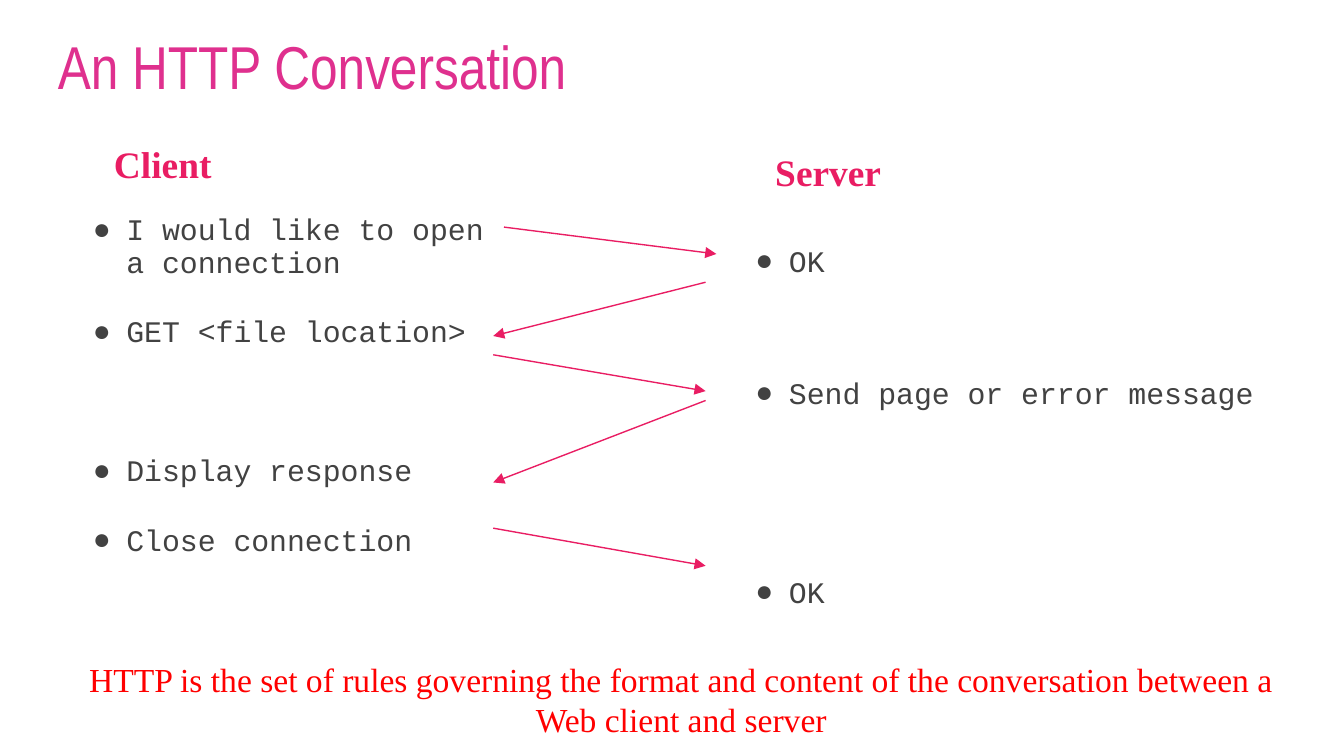
from lxml import etree
from pptx import Presentation
from pptx.dml.color import RGBColor
from pptx.enum.shapes import MSO_CONNECTOR
from pptx.enum.text import MSO_ANCHOR, MSO_AUTO_SIZE, PP_ALIGN
from pptx.oxml.ns import qn
from pptx.util import Inches, Pt

STRAIGHT = MSO_CONNECTOR.STRAIGHT
TOP, MIDDLE = MSO_ANCHOR.TOP, MSO_ANCHOR.MIDDLE
FIXED, GROW = MSO_AUTO_SIZE.NONE, MSO_AUTO_SIZE.SHAPE_TO_FIT_TEXT
LEFT, CENTER = PP_ALIGN.LEFT, PP_ALIGN.CENTER

MAGENTA = RGBColor(0xDF, 0x30, 0x8E)
PINK = RGBColor(0xE9, 0x1D, 0x63)
GRAY = RGBColor(0x42, 0x42, 0x42)
RED = RGBColor(0xFF, 0x00, 0x00)

COLUMNS, ROWS = 100, 56.25
TWO_CONTENT_LAYOUT = 3


class ConversationSlide:
    title_font = "Arial Narrow"
    message_font = "Courier New"
    label_font = "Times New Roman"

    def __init__(self, presentation):
        self.column = presentation.slide_width / COLUMNS
        self.row = presentation.slide_height / ROWS
        layout = presentation.slide_layouts[TWO_CONTENT_LAYOUT]
        self.slide = presentation.slides.add_slide(layout)

    def point(self, column, row):
        return round(column * self.column), round(row * self.row)

    def place(self, shape, area):
        shape.left, shape.top = self.point(*area[:2])
        shape.width, shape.height = self.point(*area[2:])

    def frame(self, shape, anchor=TOP, size=FIXED, side=0.1):
        frame = shape.text_frame
        frame.word_wrap = True
        frame.auto_size = size
        frame.vertical_anchor = anchor
        frame.margin_left = frame.margin_right = Inches(side)
        frame.margin_top = frame.margin_bottom = Inches(0.05)
        return frame

    def run(self, paragraph, text, font, size, color, bold=False):
        run = paragraph.add_run()
        run.text = text
        run.font.name = font
        run.font.size = Pt(size)
        run.font.bold = bold
        run.font.color.rgb = color

    def title(self, text, area):
        shape = self.slide.shapes.title
        self.place(shape, area)
        paragraph = self.frame(shape, MIDDLE, side=0.3).paragraphs[0]
        paragraph.alignment = LEFT
        self.run(paragraph, text, self.title_font, 32.4, MAGENTA)

    def bullet(self, paragraph):
        properties = paragraph._p.get_or_add_pPr()
        properties.set("marL", str(Inches(0.25)))
        properties.set("indent", str(-Inches(0.25)))
        color = etree.SubElement(properties, qn("a:buClr"))
        etree.SubElement(color, qn("a:srgbClr")).set("val", str(GRAY))
        etree.SubElement(properties, qn("a:buChar")).set("char", "●")

    def messages(self, index, area, line_spacing, items):
        shape = self.slide.placeholders[index]
        self.place(shape, area)
        frame = self.frame(shape)
        for number, (text, space_before) in enumerate(items):
            paragraph = frame.add_paragraph() if number else frame.paragraphs[0]
            self.bullet(paragraph)
            paragraph.line_spacing = line_spacing
            paragraph.space_before = Pt(space_before)
            paragraph.space_after = Pt(0)
            self.run(paragraph, text, self.message_font, 16, GRAY)

    def label(self, text, area, size, color, bold=False, alignment=LEFT):
        shape = self.slide.shapes.add_textbox(0, 0, 0, 0)
        self.place(shape, area)
        paragraph = self.frame(shape, size=GROW).paragraphs[0]
        paragraph.alignment = alignment
        self.run(paragraph, text, self.label_font, size, color, bold)

    def arrow(self, start, end):
        connector = self.slide.shapes.add_connector(
            STRAIGHT, *self.point(*start), *self.point(*end))
        connector.line.color.rgb = PINK
        connector.line.width = Pt(0.75)
        line = connector.line._get_or_add_ln()
        etree.SubElement(line, qn("a:tailEnd")).set("type", "triangle")
        etree.SubElement(connector._element.spPr, qn("a:effectLst"))


def main():
    presentation = Presentation()
    presentation.slide_width = Inches(10)
    presentation.slide_height = presentation.slide_width * 9 // 16
    conversation = ConversationSlide(presentation)

    conversation.title("An HTTP Conversation", (1.3, 1.6, 90, 6.5))
    conversation.messages(1, (5.9, 15.5, 32.5, 31.9), 0.9, [
        ("I would like to open a connection", 0),
        ("GET <file location>", 20),
        ("Display response", 57.2),
        ("Close connection", 20),
    ])
    conversation.messages(2, (55.2, 18.1, 40.6, 29.4), 0.8, [
        ("OK", 0),
        ("Send page or error message", 55.4),
        ("OK", 90.8),
    ])
    conversation.label("Client", (7.5, 10, 9.7, 4.4), 20, PINK, bold=True)
    conversation.label("Server", (56.7, 10.6, 10.7, 4.4), 20, PINK, bold=True)

    client, server = 36.7, 52.5
    for start, end in [
        ((client + 0.8, 16.9), (server + 0.8, 18.9)),
        ((server, 21), (client, 25)),
        ((client, 26.4), (server, 29.1)),
        ((server, 29.8), (client, 35.9)),
        ((client, 39.3), (server, 42.1)),
    ]:
        conversation.arrow(start, end)

    conversation.label(
        "HTTP is the set of rules governing the format and content of the "
        "conversation between a Web client and server",
        (3.6, 48.5, 94.2, 7.1), 18, RED, alignment=CENTER)
    presentation.save("out.pptx")


if __name__ == "__main__":
    main()
